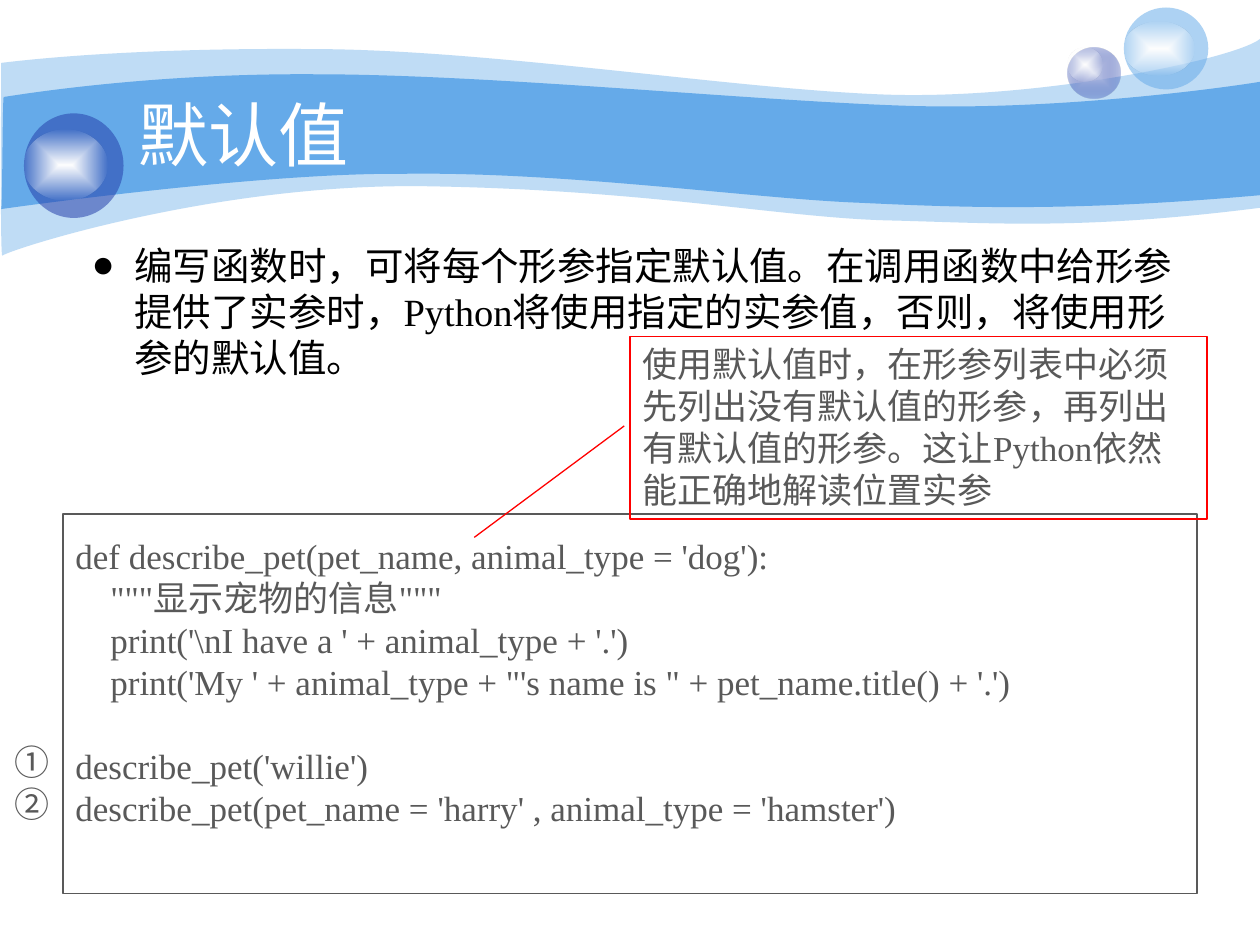
from lxml import etree
from pptx import Presentation
from pptx.dml.color import RGBColor
from pptx.enum.shapes import MSO_SHAPE as Shape
from pptx.enum.text import MSO_ANCHOR as Anchor, PP_ALIGN as Align
from pptx.oxml import parse_xml
from pptx.oxml.ns import nsdecls, qn
from pptx.util import Inches, Pt

SKY = RGBColor(0x65, 0xAA, 0xE9)
NAVY = RGBColor(0x23, 0x3D, 0xA9)
LILAC = RGBColor(0xC7, 0xCE, 0xE9)
WHITE = RGBColor(0xFF, 0xFF, 0xFF)
BLACK = RGBColor(0, 0, 0)
GREY = RGBColor(0x59, 0x59, 0x59)
RED = RGBColor(0xFF, 0, 0)
SERIF, SANS = "Times New Roman", "Noto Sans CJK SC"

# Wave outlines: start point, top curves, right edge, bottom curves
PALE_WAVE = [
    (0.01, 0.5),
    (0.25, 0.47, 1.09, 0.38, 2.47, 0.39), (3.86, 0.39, 5.76, 0.7, 6.99, 0.75),
    (8.22, 0.8, 9.8, 0.47, 10, 0.31), (10, 1.65),
    (8.58, 1.83, 7.88, 1.77, 7.05, 1.75), (6.22, 1.73, 5.16, 1.51, 3.44, 1.48),
    (1.73, 1.44, 0.05, 1.99, 0.02, 2.03), (0, 2.08, 0.01, 0.75, 0.01, 0.5),
]
BLUE_WAVE = [
    (0.03, 0.77),
    (0.05, 0.77, 1.12, 0.58, 2.5, 0.59), (3.88, 0.59, 5.96, 0.8, 7.19, 0.84),
    (8.42, 0.88, 9.76, 0.69, 10, 0.65), (10, 1.55),
    (8.53, 1.68, 7.66, 1.65, 6.83, 1.61), (6, 1.58, 4.48, 1.36, 3.19, 1.38),
    (2.05, 1.37, 0, 1.66, 0.01, 1.66), (0.02, 1.66, 0.02, 0.77, 0.03, 0.77),
]
CODE = [
    "def describe_pet(pet_name, animal_type = 'dog'):",
    '    """显示宠物的信息"""',
    "    print('\\nI have a ' + animal_type + '.')",
    "    print('My ' + animal_type + \"'s name is \" + pet_name.title() + '.')",
    "describe_pet('willie')",
    "describe_pet(pet_name = 'harry' , animal_type = 'hamster')",
]


def set_fill(sp, color, alpha=100):
    sp.shadow.inherit = False
    sp.line.fill.background()
    sp.fill.solid()
    sp.fill.fore_color.rgb = color
    if alpha < 100:
        clr = sp.fill._xPr.find(qn("a:solidFill"))[0]
        etree.SubElement(clr, qn("a:alpha")).set("val", str(alpha * 1000))


def set_glow(sp, inner, outer, outer_alpha):
    """Fill with a gradient that runs from the centre to the edge."""
    set_fill(sp, inner)
    solid = sp.fill._xPr.find(qn("a:solidFill"))
    grad = parse_xml(
        f'<a:gradFill {nsdecls("a")} rotWithShape="1"><a:gsLst>'
        f'<a:gs pos="0"><a:srgbClr val="{inner}"/></a:gs>'
        f'<a:gs pos="100000"><a:srgbClr val="{outer}">'
        f'<a:alpha val="{outer_alpha * 1000}"/></a:srgbClr></a:gs></a:gsLst>'
        '<a:path path="shape"><a:fillToRect l="50000" t="50000" r="50000" b="50000"/>'
        '</a:path></a:gradFill>')
    solid.getparent().replace(solid, grad)


def set_text(sp, lines, size=20, color=GREY, font=SERIF, margin_y=0.05,
             anchor=Anchor.TOP, wrap=True):
    tf = sp.text_frame
    tf.word_wrap = wrap
    tf.vertical_anchor = anchor
    tf.margin_left = tf.margin_right = Inches(0.1)
    tf.margin_top = tf.margin_bottom = Inches(margin_y)
    for i, line in enumerate(lines):
        p = tf.add_paragraph() if i else tf.paragraphs[0]
        p.alignment = Align.LEFT
        r = p.add_run()
        r.text = line
        r.font.size = Pt(size)
        r.font.name = font
        r.font.color.rgb = color
    return tf


def add_box(slide, kind, box, line):
    sp = slide.shapes.add_shape(kind, *map(Inches, box))
    sp.shadow.inherit = False
    sp.fill.background()
    sp.line.color.rgb = line
    sp.line.width = Pt(0.75)
    return sp


def add_textbox(slide, box, lines, **fmt):
    return set_text(slide.shapes.add_textbox(*map(Inches, box)), lines, **fmt)


def add_wave(slide, outline, alpha):
    """Draw the outline's points as lines, then join each triple into a curve."""
    points = [(Inches(seg[i]), Inches(seg[i + 1]))
              for seg in outline for i in range(0, len(seg), 2)]
    builder = slide.shapes.build_freeform(*points[0])
    builder.add_line_segments(points[1:], close=True)
    sp = builder.convert_to_shape()
    lines = iter(list(sp._element.iter(qn("a:lnTo"))))
    for seg in outline[1:]:
        first = next(lines)
        if len(seg) == 6:
            first.tag = qn("a:cubicBezTo")
            for _ in range(2):
                extra = next(lines)
                first.append(extra[0])
                extra.getparent().remove(extra)
    set_fill(sp, SKY, alpha)


def add_bubble(slide, box, shine_box, color=None):
    """Ball with a highlight; without a colour it gets a lilac gradient."""
    group = slide.shapes.add_group_shape()
    ball, shine = [group.shapes.add_shape(Shape.OVAL, *map(Inches, b))
                   for b in (box, shine_box)]
    if color is None:
        set_glow(ball, LILAC, NAVY, 31)
    else:
        set_fill(ball, color, 53)
    set_glow(shine, WHITE, WHITE, 0)


def add_banner(slide):
    add_wave(slide, PALE_WAVE, 41)
    add_wave(slide, BLUE_WAVE, 100)
    add_bubble(slide, (8.47, 0.38, 0.42, 0.4), (8.47, 0.38, 0.28, 0.27))
    add_bubble(slide, (8.92, 0.06, 0.67, 0.65), (8.92, 0.17, 0.56, 0.43), SKY)
    add_bubble(slide, (0.19, 0.9, 0.79, 0.83), (0.19, 1.03, 0.66, 0.56), NAVY)


def add_bullet(slide, box, text):
    p = add_textbox(slide, box, [text], size=22, color=BLACK).paragraphs[0]
    pPr = p._p.get_or_add_pPr()
    pPr.set("marL", str(Inches(0.47)))
    pPr.set("indent", str(-Inches(0.34)))
    etree.SubElement(pPr, qn("a:buFont")).set("typeface", SERIF)
    etree.SubElement(pPr, qn("a:buChar")).set("char", "●")


def add_code(slide, box):
    sp = add_box(slide, Shape.RECTANGLE, box, GREY)
    tf = set_text(sp, CODE, margin_y=0.16)
    tf.paragraphs[4].space_before = Pt(24)  # gap before the calls


def add_callout(slide, box, text):
    sp = add_box(slide, Shape.LINE_CALLOUT_1, box, RED)
    for i, value in enumerate((0.49, -0.01, 1.1, -0.27)):
        sp.adjustments[i] = value
    set_text(sp, [text])


def main():
    prs = Presentation()
    prs.slide_width, prs.slide_height = Inches(10), Inches(7.5)
    slide = prs.slides.add_slide(prs.slide_layouts[6])
    add_banner(slide)
    # Title and explanation
    add_textbox(slide, (1, 0.75, 8.08, 0.62), ["默认值"], size=40, color=WHITE,
                anchor=Anchor.MIDDLE)
    add_bullet(slide, (0.5, 1.87, 9, 5.05),
               "编写函数时，可将每个形参指定默认值。在调用函数中给形参提供了实参时，"
               "Python将使用指定的实参值，否则，将使用形参的默认值。")
    # Code with call markers and remark
    add_code(slide, (0.5, 4.08, 9, 3.01))
    add_textbox(slide, (0.02, 5.83, 0.48, 0.77), ["①", "②"], font=SANS, wrap=False)
    add_callout(slide, (5, 2.67, 4.58, 1.45),
                "使用默认值时，在形参列表中必须先列出没有默认值的形参，再列出有默认值的形参。"
                "这让Python依然能正确地解读位置实参")
    prs.save("out.pptx")


if __name__ == "__main__":
    main()
